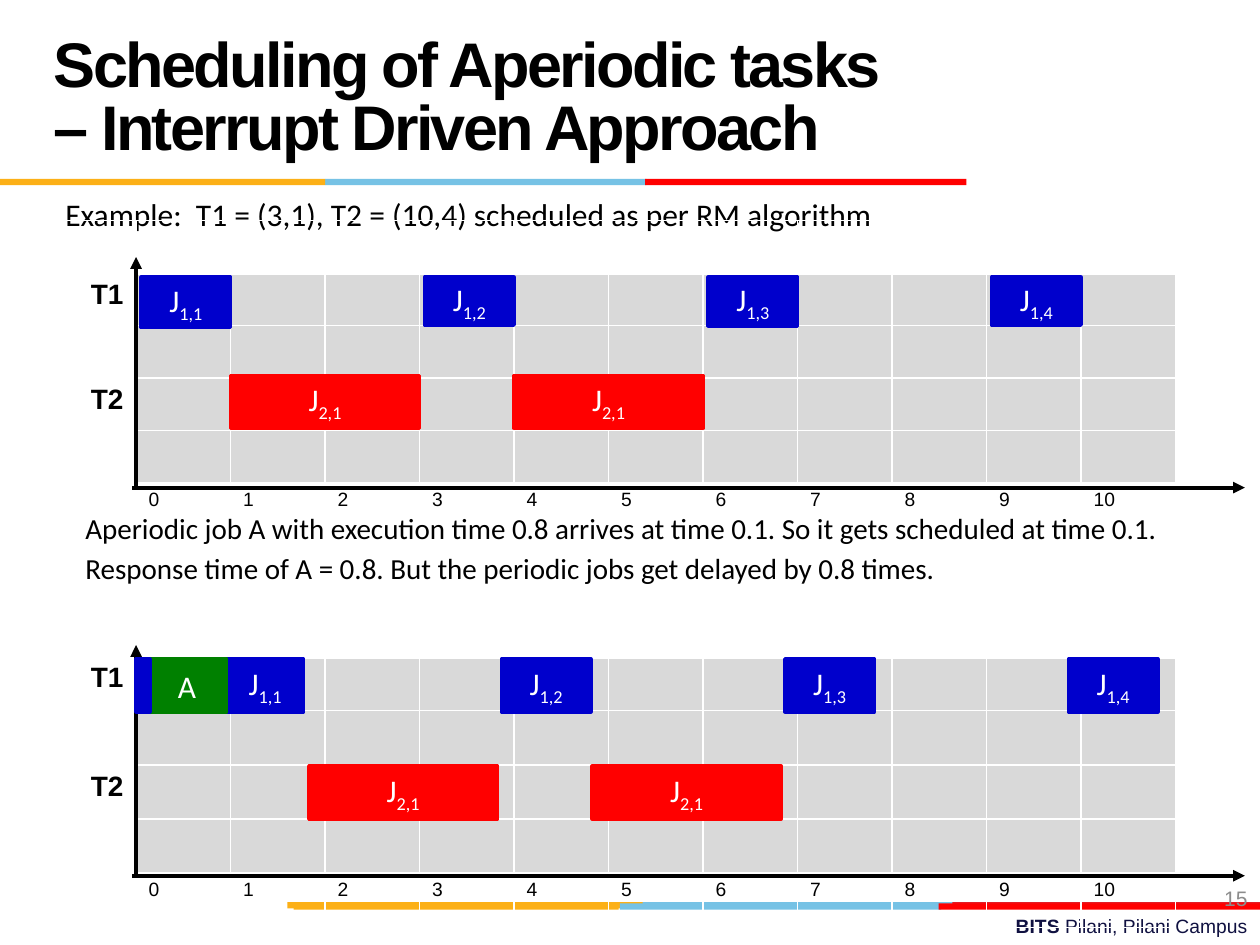
from dataclasses import dataclass

from lxml.etree import SubElement
from pptx import Presentation
from pptx.dml.color import RGBColor
from pptx.enum.shapes import MSO_CONNECTOR, MSO_SHAPE
from pptx.enum.text import MSO_ANCHOR, PP_ALIGN
from pptx.oxml.ns import qn
from pptx.util import Emu, Pt

PX = 9144  # one px is a hundredth of an inch


@dataclass(frozen=True)
class Theme:
    black: str = "000000"
    white: str = "FFFFFF"
    grey: str = "8C8C8C"
    grid: str = "D9D9D9"
    navy: str = "101141"
    blue: str = "0000CC"
    red: str = "FF0000"
    green: str = "008000"
    gold: str = "FCB017"
    sky: str = "76C2E5"
    crimson: str = "E31C24"
    heading_font: str = "Arial"
    body_font: str = "Calibri"
    title_size: float = 36
    body_size: float = 18
    note_size: float = 16.6
    task_size: float = 16
    number_size: float = 12
    small_size: float = 11


def px(*lengths):
    return [Emu(length * PX) for length in lengths]


def add_span(para, text, *, font, size, color, bold=False, baseline=0, spacing=0):
    span = para.add_run()
    span.text = text
    span.font.name = font
    span.font.size = Pt(size)
    span.font.bold = bold
    span.font.color.rgb = RGBColor.from_string(color)
    properties = span.font._element
    if baseline:
        properties.set("baseline", str(baseline * 1000))
    if spacing:
        properties.set("spc", str(int(spacing * 100)))
    return span


class SlideBuilder:
    def __init__(self, page, theme):
        self.page = page
        self.theme = theme

    def text(self, at, lines, align=PP_ALIGN.LEFT, anchor=MSO_ANCHOR.TOP,
             gap=0, line_height=None):
        """Each line is a list of (text, format) pairs."""
        frame = self.page.shapes.add_textbox(*px(*at)).text_frame
        frame.word_wrap = True
        frame.vertical_anchor = anchor
        for index, spans in enumerate(lines):
            para = frame.add_paragraph() if index else frame.paragraphs[0]
            para.alignment = align
            if index:
                para.space_before = Pt(gap)
            if line_height:
                para.line_spacing = Pt(line_height)
            for words, style in spans:
                add_span(para, words, **style)

    def bar(self, at, color, outline=False):
        box = self.page.shapes.add_shape(MSO_SHAPE.RECTANGLE, *px(*at))
        box.shadow.inherit = False
        box.fill.solid()
        box.fill.fore_color.rgb = RGBColor.from_string(color)
        if outline:
            box.line.color.rgb = RGBColor.from_string(color)
            box.line.width = Pt(2)
        else:
            box.line.fill.background()
        return box

    def job(self, at, color, name="", index=""):
        frame = self.bar(at, color, outline=True).text_frame
        frame.word_wrap = True
        frame.vertical_anchor = MSO_ANCHOR.MIDDLE
        para = frame.paragraphs[0]
        para.alignment = PP_ALIGN.CENTER
        style = dict(font=self.theme.body_font, size=self.theme.body_size,
                     color=self.theme.white)
        if name:
            add_span(para, name, **style)
        if index:
            add_span(para, index, baseline=-25, **style)

    def axis(self, start, end):
        line = self.page.shapes.add_connector(
            MSO_CONNECTOR.STRAIGHT, *px(*start), *px(*end))
        line.line.color.rgb = RGBColor.from_string(self.theme.black)
        line.line.width = Pt(2.25)
        SubElement(line.line._get_or_add_ln(), qn("a:tailEnd"), type="triangle")
        SubElement(line._element.spPr, qn("a:effectLst"))

    def borders(self, cell, bottom):
        properties = cell._tc.get_or_add_tcPr()
        for position, (side, width) in enumerate(
                (("L", 1), ("R", 1), ("T", 1), ("B", bottom))):
            line = SubElement(properties, qn("a:ln" + side), w=str(Pt(width)))
            fill = SubElement(line, qn("a:solidFill"))
            SubElement(fill, qn("a:srgbClr"), val=self.theme.white)
            properties.insert(position, line)

    def timeline(self, top, height):
        """Grid with task names on the left and time units below."""
        theme, rows, columns = self.theme, 6, 12
        table = self.page.shapes.add_table(
            rows, columns, *px(33, top, 900, height)).table
        table.first_row = table.horz_banding = False
        labels = {(1, 0): "T1", (3, 0): "T2"}
        labels.update({(rows - 1, unit + 1): str(unit) for unit in range(11)})
        for row in range(rows):
            table.rows[row].height = Emu(height * PX // rows)
            for column in range(columns):
                cell = table.cell(row, column)
                if column and 0 < row < rows - 1:
                    cell.fill.solid()
                    cell.fill.fore_color.rgb = RGBColor.from_string(theme.grid)
                else:
                    cell.fill.background()
                self.borders(cell, bottom=1 if row else 3)
                if (row, column) in labels:
                    para = cell.text_frame.paragraphs[0]
                    task = column == 0
                    para.alignment = PP_ALIGN.RIGHT if task else PP_ALIGN.LEFT
                    add_span(para, labels[row, column], font=theme.heading_font,
                             size=theme.task_size if task else theme.small_size,
                             color=theme.black, bold=task)

    def axes(self, base):
        self.axis((108, base), (108, base - 183))
        self.axis((105, base), (988, base))


def main():
    deck = Presentation()
    deck.slide_width, deck.slide_height = px(1000, 750)
    theme = Theme()
    slide = SlideBuilder(deck.slides.add_slide(deck.slide_layouts[6]), theme)
    period = 225  # three time units of 75 px

    # Footer and coloured stripes
    footer = dict(font=theme.heading_font, size=theme.small_size, color=theme.navy)
    slide.text((358, 721, 642, 29),
               [[("BITS ", dict(footer, bold=True)),
                 ("Pilani, Pilani Campus", footer)]], align=PP_ALIGN.RIGHT)
    for left, top, width, color in (
            (506, 716, 255, theme.sky), (756, 716, 244, theme.crimson),
            (228, 716, 282, theme.gold), (492, 717, 255, theme.sky),
            (233, 717, 258, theme.gold), (745, 717, 255, theme.red),
            (258, 142, 255, theme.sky), (0, 142, 258, theme.gold),
            (512, 142, 255, theme.red)):
        slide.bar((left, top, width, 5), color)

    # Example line, title and page number
    body = dict(font=theme.body_font, size=theme.body_size, color=theme.black)
    slide.text((42, 150, 900, 58),
               [[("Example:  T1 = (3,1), T2 = (10,4) scheduled as per RM algorithm",
                  body)]])
    title = dict(font=theme.heading_font, size=theme.title_size,
                 color=theme.black, bold=True, spacing=-1.5)
    slide.text((33, 17, 692, 125),
               [[("Scheduling of Aperiodic tasks – Interrupt Driven Approach", title)]],
               anchor=MSO_ANCHOR.MIDDLE, line_height=theme.title_size)
    number = dict(font=theme.heading_font, size=theme.number_size, color=theme.grey)
    slide.text((767, 693, 233, 40), [[("15", number)]],
               align=PP_ALIGN.RIGHT, anchor=MSO_ANCHOR.MIDDLE)

    # Schedule of the periodic tasks alone
    slide.timeline(175, 250)
    slide.axes(387)
    for step, height in enumerate((40, 38, 39, 38)):
        slide.job((112 + step * period, 220, 71, height), theme.blue,
                  "J", f"1,{step + 1}")
    for step in range(2):
        slide.job((183 + step * period, 298, 150, 42), theme.red, "J", "2,1")

    # Arrival of the aperiodic job
    note = dict(body, size=theme.note_size)
    slide.text((58, 400, 900, 92), [
        [("Aperiodic job A with execution time 0.8 arrives at time 0.1. "
          "So it gets scheduled at time 0.1.", note)],
        [("Response time of A = 0.8. But the periodic jobs get delayed by 0.8 times.",
          note)]], gap=3.3)

    # Schedule with the aperiodic job
    slide.timeline(478, 258)
    slide.axes(695)
    slide.job((180, 523, 61, 42), theme.blue, "J", "1,1")
    for step in range(3):
        slide.job((398 + step * period, 523, 71, 42), theme.blue,
                  "J", f"1,{step + 2}")
    for step in range(2):
        slide.job((245 + step * period, 608, 150, 42), theme.red, "J", "2,1")
    slide.job((117, 523, 63, 42), theme.green, "A")
    slide.job((108, 523, 11, 42), theme.blue)

    deck.save("out.pptx")


if __name__ == "__main__":
    main()
